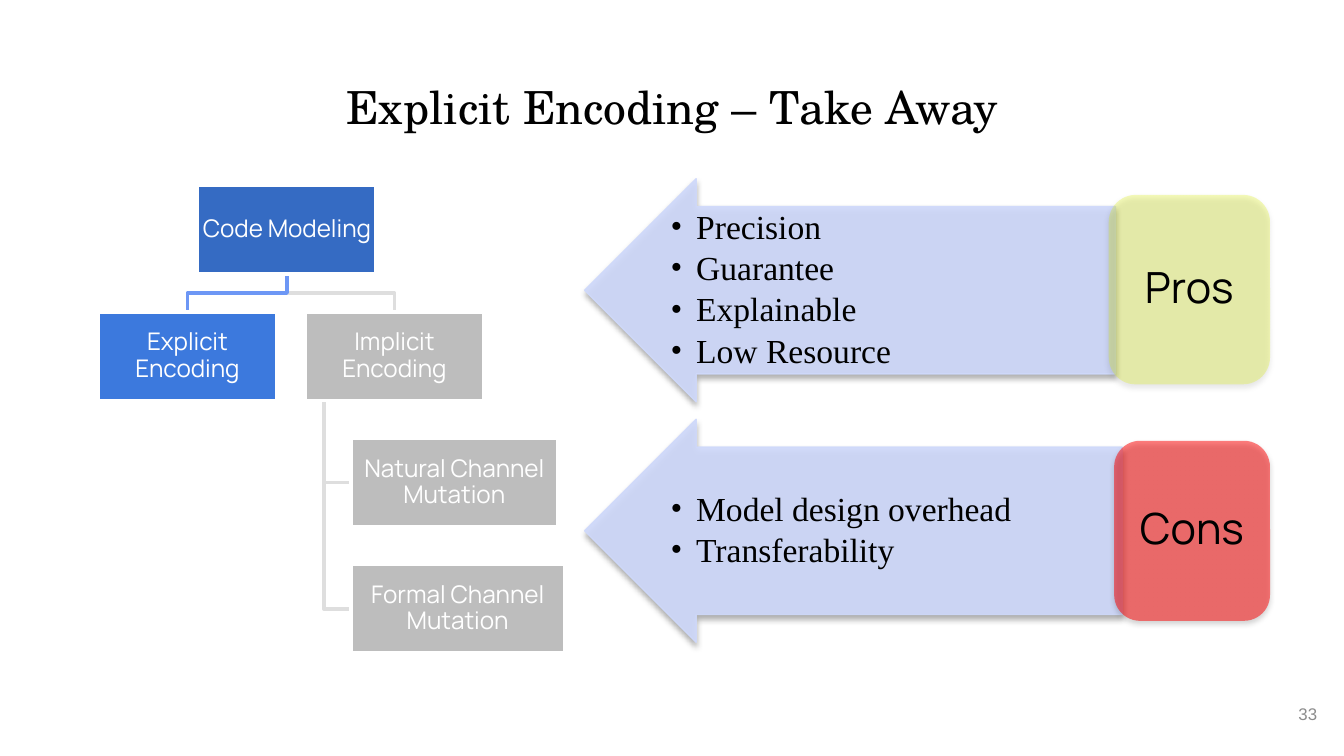
from lxml import etree
from pptx import Presentation
from pptx.dml.color import RGBColor
from pptx.enum.shapes import MSO_SHAPE
from pptx.enum.text import MSO_ANCHOR, PP_ALIGN
from pptx.oxml.ns import qn
from pptx.util import Inches, Pt

RECT, ROUND, ARROW = MSO_SHAPE.RECTANGLE, MSO_SHAPE.ROUNDED_RECTANGLE, MSO_SHAPE.LEFT_ARROW
TOP, MID = MSO_ANCHOR.TOP, MSO_ANCHOR.MIDDLE
LEFT, CENTER, RIGHT = PP_ALIGN.LEFT, PP_ALIGN.CENTER, PP_ALIGN.RIGHT

TITLE = "Explicit Encoding – Take Away"
PAGE = "33"
BLACK, BLUE, GRAY, PALE = "000000", "6D97F5", "BDBDBD", "DEDEDE"
SERIF, SANS = "Times New Roman", "Manrope"
NODE_H, STEP, TREE_Y = 0.66, 0.94, 1.38
NODES = {
    "root": ("Code Modeling", 1.47, 0, 1.33, "356BC3"),
    "explicit": ("Explicit Encoding", 0.73, 1, 1.33, "3C79DD"),
    "implicit": ("Implicit Encoding", 2.27, 1, 1.33, GRAY),
    "natural": ("Natural Channel Mutation", 2.61, 2, 1.54, GRAY),
    "formal": ("Formal Channel Mutation", 2.61, 3, 1.59, GRAY),
}
FORKS = [("root", "implicit", PALE), ("root", "explicit", BLUE)]
STEMS = [("implicit", "formal"), ("implicit", "natural")]
ARROW_X, ARROW_H, LIST_X, LIST_H = 4.35, 1.66, 4.98, 1.25
SIDES = [
    ("Pros", ["Precision", "Guarantee", "Explainable", "Low Resource"],
     1.33, 3.95, (8.25, 1.45, 1.2, 1.41), "DBF000", 27),
    ("Cons", ["Model design overhead", "Transferability"],
     3.12, 4, (8.29, 3.28, 1.16, 1.34), "FF0000", 50),
]


def color(code):
    return RGBColor.from_string(code)


def write(shape, lines, font, size, code, align=CENTER, anchor=MID,
          pad=(0.01,) * 4, space=None, after=None, bullet=False):
    frame = shape.text_frame
    sides = ("left", "top", "right", "bottom")
    form = {f"margin_{side}": Inches(gap) for side, gap in zip(sides, pad)}
    form.update(word_wrap=True, vertical_anchor=anchor)
    for key, value in form.items():
        setattr(frame, key, value)
    for i, line in enumerate(lines):
        para = frame.paragraphs[0] if i == 0 else frame.add_paragraph()
        para.text = line
        for key, value in {"alignment": align, "line_spacing": space,
                           "space_after": after}.items():
            setattr(para, key, value)
        if bullet:
            props = para._p.get_or_add_pPr()
            props.set("marL", str(Inches(0.19)))
            props.set("indent", str(-Inches(0.19)))
            tint = etree.SubElement(props, qn("a:buClr"))
            etree.SubElement(tint, qn("a:srgbClr"), val=code)
            etree.SubElement(props, qn("a:buFont"), typeface=font)
            etree.SubElement(props, qn("a:buChar"), char="•")
        for item in (para, *para.runs):
            for key, value in {"name": font, "size": Pt(size), "bold": False}.items():
                setattr(item.font, key, value)
            item.font.color.rgb = color(code)


def label_box(box, *args, **form):
    write(slide.shapes.add_textbox(*map(Inches, box)), *args, **form)


def block(kind, box, fill, line=None, width=0.75):
    shape = slide.shapes.add_shape(kind, *map(Inches, box))
    shape.shadow.inherit = False
    shape.fill.solid()
    shape.fill.fore_color.rgb = color(fill)
    if line:
        shape.line.color.rgb = color(line)
        shape.line.width = Pt(width)
    else:
        shape.line.fill.background()
    return shape


def soften(shape, alpha):
    props = shape.element.spPr
    for tint in list(props.iter(qn("a:srgbClr"))):
        etree.SubElement(tint, qn("a:alpha"), val=str(alpha * 1000))
    glow = etree.SubElement(props.find(qn("a:effectLst")), qn("a:outerShdw"),
                            blurRad=str(Pt(3.1)), dist=str(Pt(1.8)),
                            dir="5400000", rotWithShape="0")
    dark = etree.SubElement(glow, qn("a:srgbClr"), val=BLACK)
    etree.SubElement(dark, qn("a:alpha"), val="35000")


def trace(points, code):
    spots = [(Inches(x), Inches(y)) for x, y in points]
    pen = slide.shapes.build_freeform(*spots[0])
    pen.add_line_segments(spots[1:], close=False)
    shape = pen.convert_to_shape()
    shape.shadow.inherit = False
    shape.fill.background()
    shape.line.color.rgb = color(code)
    shape.line.width = Pt(2)


def place(key):
    _, x, row, width, _ = NODES[key]
    return x, TREE_Y + row * STEP, width, NODE_H


deck = Presentation()
deck.slide_width = Inches(10)
deck.slide_height = deck.slide_width * 9 // 16
slide = deck.slides.add_slide(deck.slide_layouts[5])

title = slide.shapes.title
for key, value in zip(("left", "top", "width", "height"), (0.34, 0.49, 9.32, 0.63)):
    setattr(title, key, Inches(value))
write(title, [TITLE], "TeX Gyre Schola", 24.4, BLACK, anchor=TOP, pad=(0.1,) * 4)

label_box((9.27, 5.1, 0.6, 0.43), [PAGE], "Arial", 9, "8C8C8C", align=RIGHT,
          pad=(0.07, 0.04, 0.07, 0.04))

for label, points, top, width, box, fill, alpha in SIDES:
    arrow = block(ARROW, (ARROW_X, top, width, ARROW_H), "CFD9FB", "CFD9FB")
    arrow.adjustments[0], arrow.adjustments[1] = 0.75, 0.5
    soften(arrow, 90)
    inner = (LIST_X, top + (ARROW_H - LIST_H) / 2, ARROW_X + width - LIST_X, LIST_H)
    label_box(inner, points, SERIF, 18, BLACK, align=LEFT,
              space=0.9, after=Pt(2.7), bullet=True)
    soften(block(ROUND, box, fill), alpha)
    label_box(box, [label], SANS, 23, BLACK, space=0.9)

for start, end in STEMS:
    x, y, width, height = place(start)
    left, top, _, tall = place(end)
    stem, level = x + 0.14, top + tall / 2
    trace([(stem, y + height), (stem, level), (left, level)], PALE)

for start, end, code in FORKS:
    x, y, width, height = place(start)
    left, top, span, _ = place(end)
    stem, drop = x + width / 2, left + span / 2
    base = y + height
    level = (base + top) / 2
    trace([(stem, base), (stem, level), (drop, level), (drop, top)], code)

for key, (label, *_, fill) in NODES.items():
    node = block(RECT, place(key), fill, "FFFFFF", 2)
    write(node, [label], SANS, 13, "FFFFFF", space=0.9)

deck.save("out.pptx")
